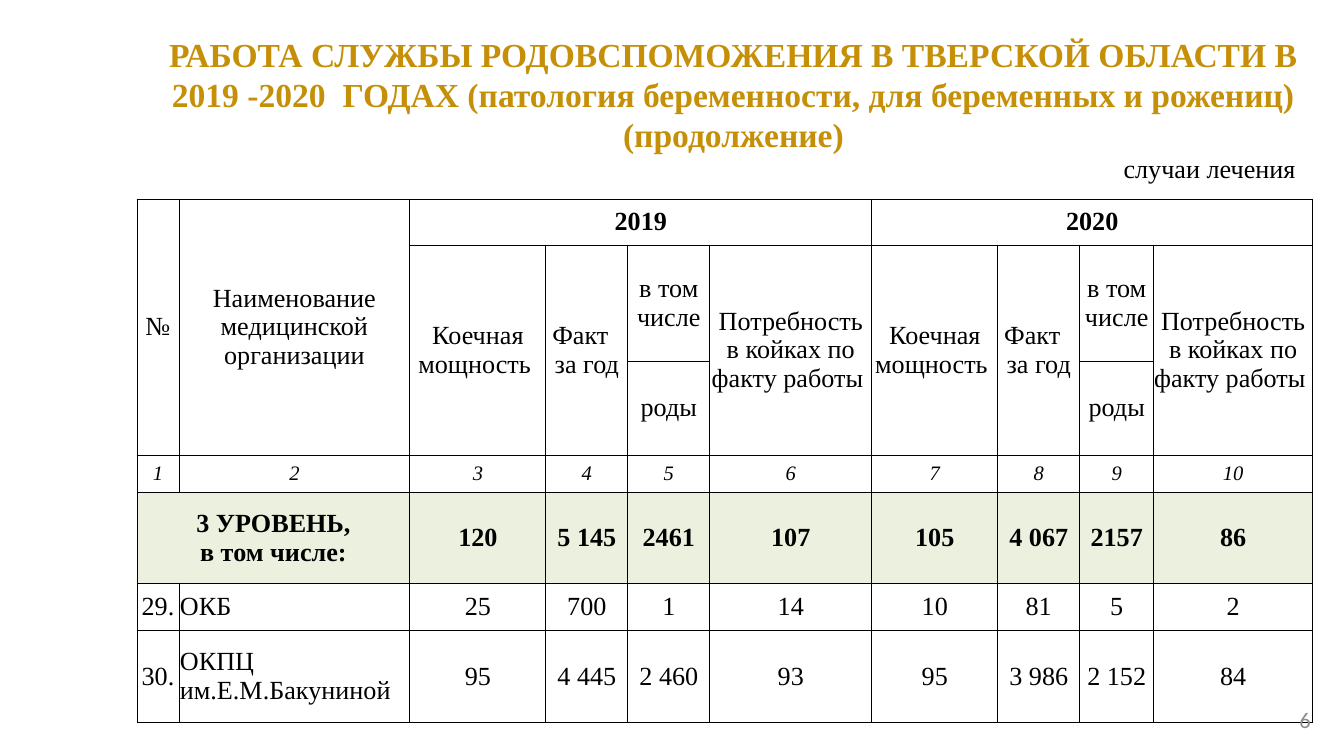
from dataclasses import dataclass, field

from lxml.etree import SubElement
from pptx import Presentation
from pptx.dml.color import RGBColor
from pptx.enum.text import MSO_ANCHOR, PP_ALIGN
from pptx.oxml.ns import qn
from pptx.slide import Slide
from pptx.util import Pt

SCALE = 914400 / 134.4
COLORS = {"title": "C58F07", "text": "000000", "number": "8C8C8C", "level": "EBF1DE"}

COLUMNS = [42, 231, 136, 82, 82, 162, 126, 82, 74, 159]
ROWS = [46, 116, 46, 37, 91, 47, 92]
YEAR_STARTS = {"2019": 2, "2020": 6}
YEAR_HEADINGS = ["Коечная мощность ", "Факт  \vза год", "в том числе",
                 "Потребность в койках по факту работы "]
BIRTHS = "роды"
LEVEL = ["120", "5 145", "2461", "107", "105", "4 067", "2157", "86"]
HOSPITALS = [
    ["29.", "ОКБ", "25", "700", "1", "14", "10", "81", "5", "2"],
    ["30.", "ОКПЦ им.Е.М.Бакуниной", "95", "4 445", "2 460", "93", "95", "3 986", "2 152", "84"],
]


def px(length):
    return round(length * SCALE)


@dataclass
class SlideBuilder:
    """Holds the style and the current slide and draws its elements."""

    slide: Slide
    font: str = "Times New Roman"
    size: int = 14
    colors: dict = field(default_factory=lambda: COLORS)

    def add_text(self, frame, text, align=PP_ALIGN.CENTER, size=None, color="text",
                 font=None, bold=False, italic=False):
        for index, line in enumerate(text.split("\n")):
            paragraph = frame.add_paragraph() if index else frame.paragraphs[0]
            paragraph.alignment = align
            for part, words in enumerate(line.split("\v")):
                if part:
                    paragraph.add_line_break()
                run = paragraph.add_run()
                run.text = words
                run.font.name = font or self.font
                run.font.size = Pt(size or self.size)
                run.font.bold = bold
                run.font.italic = italic
                run.font.color.rgb = RGBColor.from_string(self.colors[color])

    def textbox(self, box, text, anchor=MSO_ANCHOR.TOP, wrap=True, **style):
        frame = self.slide.shapes.add_textbox(*map(px, box)).text_frame
        frame.word_wrap = wrap
        frame.vertical_anchor = anchor
        self.add_text(frame, text, **style)

    def table(self, left, top, widths, heights):
        frame = self.slide.shapes.add_table(
            len(heights), len(widths), px(left), px(top), px(sum(widths)), px(sum(heights)))
        table = frame.table
        table.first_row = table.horz_banding = False
        for column, width in zip(table.columns, widths):
            column.width = px(width)
        for row, height in zip(table.rows, heights):
            row.height = px(height)
        for cell in table.iter_cells():
            self.borders(cell)
            cell.fill.background()
        return table

    def borders(self, cell):
        properties = cell._tc.get_or_add_tcPr()
        for side in ("a:lnL", "a:lnR", "a:lnT", "a:lnB"):
            line = SubElement(properties, qn(side), w=str(Pt(0.5)))
            fill = SubElement(line, qn("a:solidFill"))
            SubElement(fill, qn("a:srgbClr"), val=self.colors["text"])

    def cell(self, table, row, column, text, span=(1, 1), inset=0, fill=None, **style):
        cell = table.cell(row, column)
        if span != (1, 1):
            cell.merge(table.cell(row + span[0] - 1, column + span[1] - 1))
        cell.margin_left = cell.margin_top = cell.margin_right = px(inset)
        cell.margin_bottom = 0
        cell.vertical_anchor = MSO_ANCHOR.MIDDLE
        if fill:
            cell.fill.solid()
            cell.fill.fore_color.rgb = RGBColor.from_string(self.colors[fill])
        self.add_text(cell.text_frame, text, **style)


def main():
    deck = Presentation()
    deck.slide_width, deck.slide_height = px(1344), px(756)
    builder = SlideBuilder(deck.slides.add_slide(deck.slide_layouts[6]))

    builder.textbox(
        (144, 27, 1179, 89),
        "РАБОТА СЛУЖБЫ РОДОВСПОМОЖЕНИЯ В ТВЕРСКОЙ ОБЛАСТИ В 2019 -2020  ГОДАХ "
        "(патология беременности, для беременных и рожениц) (продолжение)",
        size=18, color="title", bold=True)

    beds = builder.table(137, 199, COLUMNS, ROWS)
    builder.cell(beds, 0, 0, "№", span=(3, 1))
    builder.cell(beds, 0, 1, "Наименование медицинской организации", span=(3, 1))
    for year, start in YEAR_STARTS.items():
        builder.cell(beds, 0, start, year, span=(1, 4), bold=True)
        for offset, heading in enumerate(YEAR_HEADINGS):
            span = (1, 1) if offset == 2 else (2, 1)
            builder.cell(beds, 1, start + offset, heading, span=span)
        builder.cell(beds, 2, start + 2, BIRTHS)
    for column in range(len(COLUMNS)):
        builder.cell(beds, 3, column, str(column + 1), size=11, italic=True)

    builder.cell(beds, 4, 0, " 3 УРОВЕНЬ, \nв том числе:", span=(1, 2), inset=1,
                 fill="level", bold=True)
    for column, total in enumerate(LEVEL, 2):
        builder.cell(beds, 4, column, total, fill="level", bold=True)
    for row, hospital in enumerate(HOSPITALS, 5):
        for column, value in enumerate(hospital):
            align = PP_ALIGN.LEFT if column == 1 else PP_ALIGN.CENTER
            builder.cell(beds, row, column, value, inset=1, align=align)

    builder.textbox((1109, 146, 200, 46), "случаи лечения", wrap=False, align=PP_ALIGN.RIGHT)
    builder.textbox((964, 700, 360, 40), "6", anchor=MSO_ANCHOR.MIDDLE,
                    align=PP_ALIGN.RIGHT, size=12, color="number", font="Calibri")
    deck.save("out.pptx")


if __name__ == "__main__":
    main()
